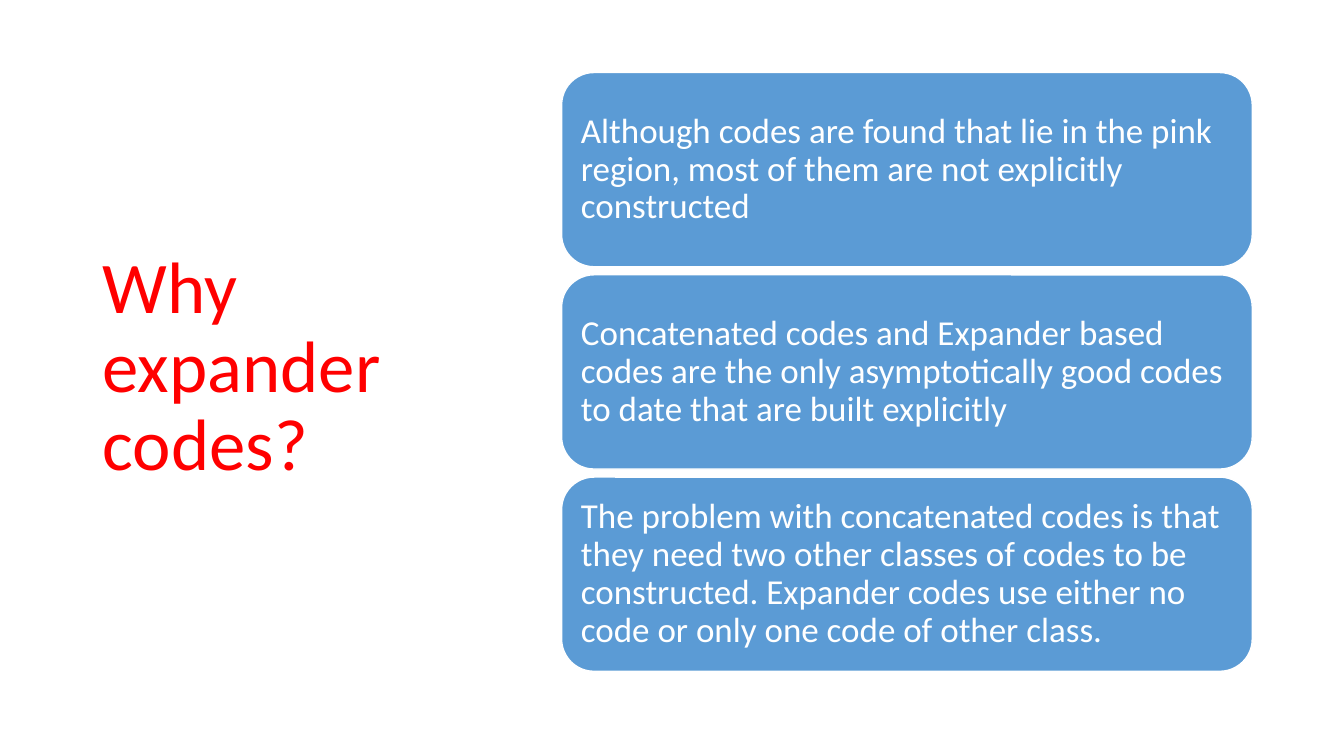
import pptx
import pptx.util
import pptx.dml.color
import pptx.enum.shapes
import pptx.enum.text

Inches = pptx.util.Inches
Pt = pptx.util.Pt
RGBColor = pptx.dml.color.RGBColor

RED = RGBColor(0xFF, 0x00, 0x00)
BLUE = RGBColor(0x5B, 0x9B, 0xD5)
WHITE = RGBColor(0xFF, 0xFF, 0xFF)

REASONS = [
    "Although codes are found that lie in the pink region, most of them "
    "are not explicitly constructed",
    "Concatenated codes and Expander based codes are the only "
    "asymptotically good codes to date that are built explicitly",
    "The problem with concatenated codes is that they need two other "
    "classes of codes to be constructed. Expander codes use either no "
    "code or only one code of other class.",
]


def write(frame, text, size, color):
    frame.word_wrap = True
    frame.vertical_anchor = pptx.enum.text.MSO_ANCHOR.MIDDLE
    line = frame.paragraphs[0]
    line.text = text
    line.alignment = pptx.enum.text.PP_ALIGN.LEFT
    line.line_spacing = 0.9
    line.font.name = "Calibri"
    line.font.size = Pt(size)
    line.font.color.rgb = color


def add_title(slide, left, top, width, height):
    box = slide.shapes.add_textbox(
        Inches(left), Inches(top), Inches(width), Inches(height))
    write(box.text_frame, "Why expander codes?", 52, RED)


def add_cards(slide, left, top, width, height, gap=0.08):
    # Equal cards stacked to fill the box
    count = len(REASONS)
    tall = (height - gap * (count - 1)) / count
    for index, reason in enumerate(REASONS):
        card = slide.shapes.add_shape(
            pptx.enum.shapes.MSO_SHAPE.ROUNDED_RECTANGLE,
            Inches(left), Inches(top + index * (tall + gap)),
            Inches(width), Inches(tall))
        card.shadow.inherit = False
        card.fill.solid()
        card.fill.fore_color.rgb = BLUE
        card.line.color.rgb = WHITE
        card.line.width = Pt(1)
        frame = card.text_frame
        frame.margin_left = frame.margin_right = Inches(0.1)
        frame.margin_top = frame.margin_bottom = Inches(0.1)
        write(frame, reason, 25, WHITE)


deck = pptx.Presentation()
deck.slide_width = Inches(13.33)
deck.slide_height = Inches(7.5)
slide = deck.slides.add_slide(deck.slide_layouts[6])

# Question on the left, reasons on the right
add_title(slide, 0.92, 0.61, 3.69, 6.09)
add_cards(slide, 5.57, 0.72, 6.85, 5.94)

deck.save("out.pptx")
